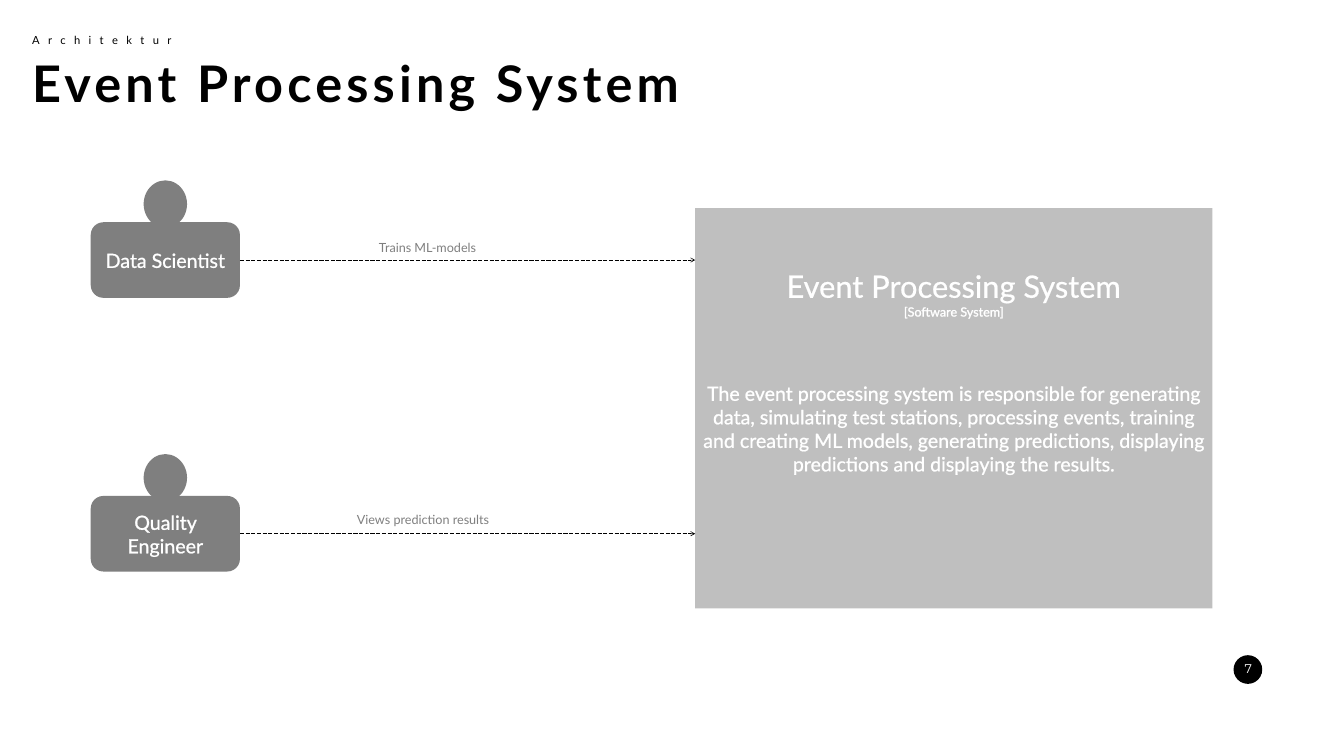
from lxml.etree import SubElement
from pptx import Presentation
from pptx.dml.color import RGBColor as RGB
from pptx.enum.dml import MSO_LINE as Dash
from pptx.enum.shapes import MSO_CONNECTOR as Conn, MSO_SHAPE as Shape
from pptx.enum.text import MSO_ANCHOR as Anchor, PP_ALIGN as Align
from pptx.oxml.ns import qn
from pptx.util import Pt

KICKER = "Architektur"
TITLE = "Event Processing System"
PAGE = "7"
# name, top of the body, relation, left and top of its label
ACTORS = [
    ("Quality Engineer", 708.5, "Views prediction results", 502.6, 727.9),
    ("Data Scientist", 317.5, "Trains ML-models", 534.2, 339.1),
]
# text, type size, space before
SYSTEM = [
    ("Event Processing System", "system", 0),
    ("[Software System]", "small", 0),
    ("The event processing system is responsible for generating data, "
     "simulating test stations, processing events, training and creating "
     "ML models, generating predictions, displaying predictions and "
     "displaying the results.", "body", 88.8),
]

THEME = {
    "font": "Lato", "number_font": "Montserrat",
    "ink": "000000", "paper": "FFFFFF", "actor": "7F7F7F", "box": "BFBFBF",
    "kicker": 16, "title": 72, "system": 44, "body": 28, "small": 18,
}
BODY_X, BODY_W, BODY_H = 129.6, 213.1, 108
HEAD_W, HEAD_H, HEAD_RISE = 62, 67.7, 59.8
BOX = (992.9, 297.4, 738.7, 571.7)
BOX_TEXT_TOP = 84


def add_run(p, text, size, color, font="font", bold=False, spacing=0, outline=False):
    r = p.add_run()
    r.text = text
    r.font.name, r.font.size, r.font.bold = THEME[font], Pt(THEME[size]), bold
    r.font.color.rgb = RGB.from_string(THEME[color])
    props = r.font._element
    if spacing:
        props.set("spc", str(spacing * 100))
    if outline:
        ln = SubElement(props, qn("a:ln"), w=str(Pt(0.75)))
        fill = SubElement(ln, qn("a:solidFill"))
        SubElement(fill, qn("a:srgbClr"), val=THEME[color])
        props.insert(0, ln)


def add_block(s, kind, rect, fill):
    sp = s.shapes.add_shape(kind, *map(Pt, rect))
    sp.shadow.inherit = False
    sp.fill.solid()
    sp.fill.fore_color.rgb = RGB.from_string(THEME[fill])
    sp.line.fill.background()
    sp.text_frame.word_wrap = True
    return sp


def add_label(s, rect, text, size, color, wrap=True, align=Align.LEFT, **style):
    tf = s.shapes.add_textbox(*map(Pt, rect)).text_frame
    tf.word_wrap = wrap
    p = tf.paragraphs[0]
    p.alignment = align
    add_run(p, text, size, color, **style)


def add_arrow(s, x1, x2, y):
    line = s.shapes.add_connector(Conn.STRAIGHT, Pt(x1), Pt(y), Pt(x2), Pt(y))
    line.line.color.rgb = RGB.from_string(THEME["ink"])
    line.line.width = Pt(0.75)
    line.line.dash_style = Dash.LONG_DASH
    SubElement(line.line._get_or_add_ln(), qn("a:tailEnd"), type="arrow")
    SubElement(line._element.spPr, qn("a:effectLst"))


def add_actor(s, name, top):
    body = add_block(s, Shape.ROUNDED_RECTANGLE, (BODY_X, top, BODY_W, BODY_H), "actor")
    tf = body.text_frame
    tf.vertical_anchor = Anchor.MIDDLE
    p = tf.paragraphs[0]
    p.alignment = Align.CENTER
    add_run(p, name, "body", "paper", outline=True)
    head_x = BODY_X + (BODY_W - HEAD_W) / 2
    add_block(s, Shape.OVAL, (head_x, top - HEAD_RISE, HEAD_W, HEAD_H), "actor")


def add_system(s):
    tf = add_block(s, Shape.RECTANGLE, BOX, "box").text_frame
    tf.vertical_anchor = Anchor.TOP
    tf.margin_top = Pt(BOX_TEXT_TOP)
    for i, (text, size, before) in enumerate(SYSTEM):
        p = tf.add_paragraph() if i else tf.paragraphs[0]
        p.alignment = Align.CENTER
        p.space_before = Pt(before)
        add_run(p, text, size, "paper", outline=True)


def main():
    prs = Presentation()
    prs.slide_width, prs.slide_height = Pt(1919.5), Pt(1080)
    s = prs.slides.add_slide(prs.slide_layouts[6])

    add_block(s, Shape.OVAL, (1761.8, 936, 41, 41), "ink")
    add_label(s, (1751.8, 940.3, 62, 28.8), PAGE, "small", "paper",
              wrap=False, align=Align.CENTER, font="number_font")
    add_label(s, (38.9, 43.9, 226, 26.6), KICKER, "kicker", "ink", wrap=False, spacing=12)
    add_label(s, (38.9, 70.6, 1433.5, 94.3), TITLE, "title", "ink", bold=True, spacing=6)

    for name, top, *_ in ACTORS:
        add_actor(s, name, top)
    add_system(s)
    for _, top, relation, x, y in ACTORS:
        add_arrow(s, BODY_X + BODY_W, BOX[0], top + BODY_H / 2)
        add_label(s, (x, y, 434.2, 28.8), relation, "small", "actor")

    prs.save("out.pptx")


if __name__ == "__main__":
    main()
